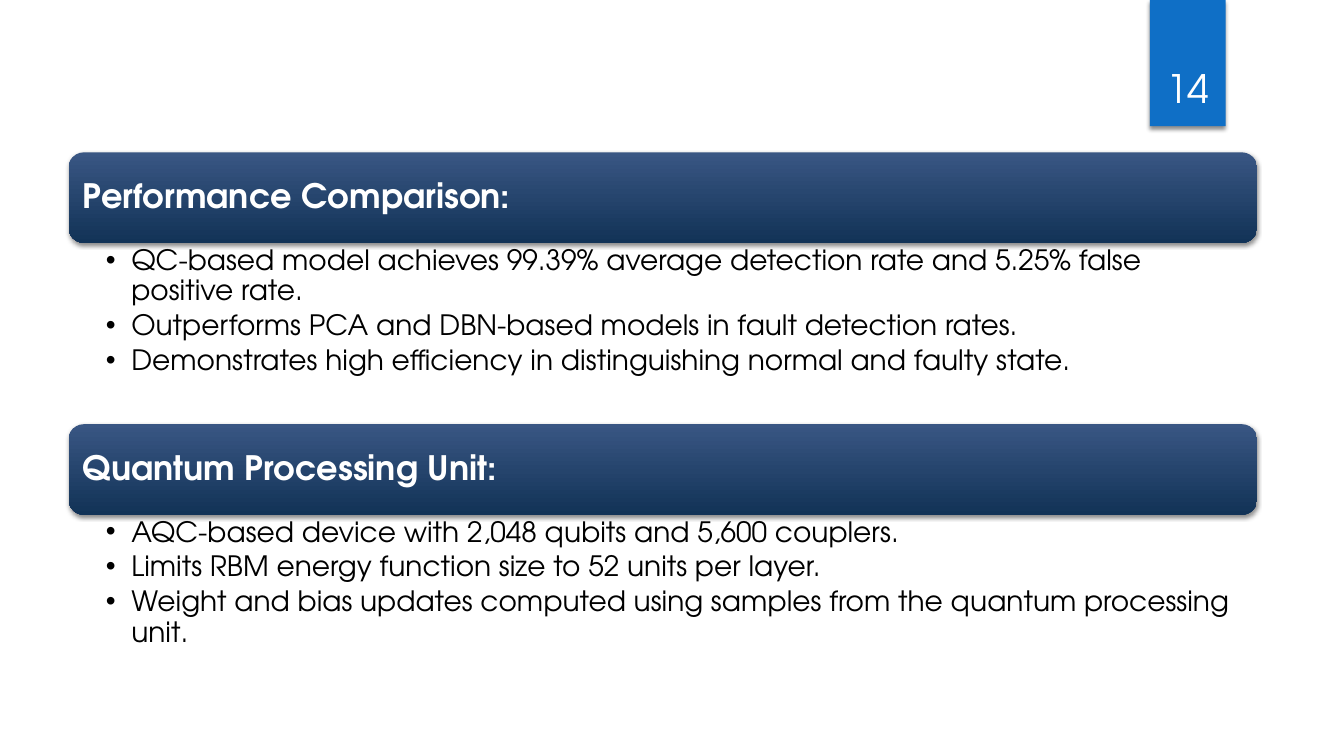
from dataclasses import dataclass

from lxml.etree import SubElement
from pptx import Presentation
from pptx.dml.color import RGBColor as RGB
from pptx.enum.shapes import MSO_SHAPE as SHAPE
from pptx.enum.text import MSO_ANCHOR as ANCHOR, MSO_AUTO_SIZE as AUTO, PP_ALIGN as ALIGN
from pptx.oxml.ns import qn
from pptx.util import Cm, Pt


@dataclass(frozen=True)
class Theme:
    font: str = "TeX Gyre Adventor"
    accent: RGB = RGB(0x0F, 0x6F, 0xC6)
    bar_top: RGB = RGB(0x39, 0x56, 0x83)
    bar_bottom: RGB = RGB(0x12, 0x33, 0x57)
    light: RGB = RGB(0xFF, 0xFF, 0xFF)
    dark: RGB = RGB(0, 0, 0)
    number_size: Pt = Pt(28)
    heading_size: Pt = Pt(24)
    list_size: Pt = Pt(20)


THEME = Theme()
BAR_HEIGHT = Cm(2.28)
SECTION_PITCH = Cm(6.85)
SECTIONS = [
    ("Performance Comparison:", [
        "QC-based model achieves 99.39% average detection rate and 5.25% false positive rate.",
        "Outperforms PCA and DBN-based models in fault detection rates.",
        "Demonstrates high efficiency in distinguishing normal and faulty state.",
    ]),
    ("Quantum Processing Unit:", [
        "AQC-based device with 2,048 qubits and 5,600 couplers.",
        "Limits RBM energy function size to 52 units per layer.",
        "Weight and bias updates computed using samples from the quantum processing unit.",
    ]),
]


def place(sp, left, top, width, height):
    sp.left, sp.top, sp.width, sp.height = left, top, width, height


def set_frame(tf, anchor, left, top, right, bottom):
    tf.word_wrap = True
    tf.auto_size = AUTO.NONE
    tf.vertical_anchor = anchor
    tf.margin_left, tf.margin_top = left, top
    tf.margin_right, tf.margin_bottom = right, bottom


def style_runs(p, size, color, bold=False):
    for r in p.runs:
        r.font.name = THEME.font
        r.font.size = size
        r.font.color.rgb = color
        r.font.bold = bold


def add_bullet(p):
    pPr = p._p.get_or_add_pPr()
    pPr.set("marL", str(Cm(0.64)))
    pPr.set("indent", str(-Cm(0.64)))
    SubElement(pPr, qn("a:buFont"), typeface="Arial")
    SubElement(pPr, qn("a:buChar"), char="•")


def add_panel(slide, kind, left, top, width, height):
    sp = slide.shapes.add_shape(kind, left, top, width, height)
    sp.line.fill.background()
    sp.shadow.inherit = False
    effects = sp._element.spPr.find(qn("a:effectLst"))
    shadow = SubElement(effects, qn("a:outerShdw"), blurRad=str(Pt(3)),
                        dist=str(Pt(2)), dir="5400000", rotWithShape="0")
    color = SubElement(shadow, qn("a:srgbClr"), val=str(THEME.dark))
    SubElement(color, qn("a:alpha"), val="45000")
    return sp


def add_number_tab(slide, left, top, width, height, number):
    tab = add_panel(slide, SHAPE.RECTANGLE, left, top, width, height)
    tab.fill.solid()
    tab.fill.fore_color.rgb = THEME.accent
    box = slide.shapes.add_textbox(left - Cm(0.22), top + Cm(0.81), width + Cm(0.44), Cm(2.13))
    tf = box.text_frame
    set_frame(tf, ANCHOR.BOTTOM, Cm(0.25), Cm(0.13), Cm(0.25), Cm(0.13))
    p = tf.paragraphs[0]
    p.text = number
    p.alignment = ALIGN.CENTER
    style_runs(p, THEME.number_size, THEME.light)


def add_heading(slide, heading, left, top, width, height, text):
    bar = add_panel(slide, SHAPE.ROUNDED_RECTANGLE, left, top, width, height)
    bar.fill.gradient()
    bar.fill.gradient_angle = 270
    for stop, color in zip(bar.fill.gradient_stops, (THEME.bar_top, THEME.bar_bottom)):
        stop.color.rgb = color
    bar._element.addnext(heading._element)
    inset = Cm(0.11)
    place(heading, left + inset, top + inset, width - 2 * inset, height - 2 * inset)
    tf = heading.text_frame
    set_frame(tf, ANCHOR.MIDDLE, *[Cm(0.25)] * 4)
    p = tf.paragraphs[0]
    p.text = text
    p.line_spacing = 0.9
    p.space_before = Pt(0)
    style_runs(p, THEME.heading_size, THEME.light, bold=True)


def fill_list(body, left, top, width, height, items):
    place(body, left, top, width, height)
    tf = body.text_frame
    set_frame(tf, ANCHOR.TOP, Cm(0.94), Cm(0.08), Cm(0.41), Cm(0.08))
    tf.text = "\n".join(items)
    for p in tf.paragraphs:
        add_bullet(p)
        p.line_spacing = 0.9
        p.space_before = Pt(0)
        p.space_after = Pt(3.3)
        style_runs(p, THEME.list_size, THEME.dark)


def add_section(slide, heading, body, left, top, width, height, text, items):
    add_heading(slide, heading, left, top, width, BAR_HEIGHT, text)
    fill_list(body, left, top + BAR_HEIGHT, width, height - BAR_HEIGHT, items)


def main():
    prs = Presentation()
    prs.slide_width, prs.slide_height = Cm(33.87), Cm(19.05)
    slide = prs.slides.add_slide(prs.slide_layouts.get_by_name("Comparison"))
    title, *holders = slide.placeholders
    title._element.getparent().remove(title._element)
    add_number_tab(slide, Cm(28.98), Cm(0), Cm(1.91), Cm(3.18), "14")
    for i, (text, items) in enumerate(SECTIONS):
        heading, body = holders[2 * i:2 * i + 2]
        add_section(slide, heading, body, Cm(1.73), Cm(3.84) + i * SECTION_PITCH,
                    Cm(29.95), SECTION_PITCH, text, items)
    prs.save("out.pptx")


if __name__ == "__main__":
    main()
